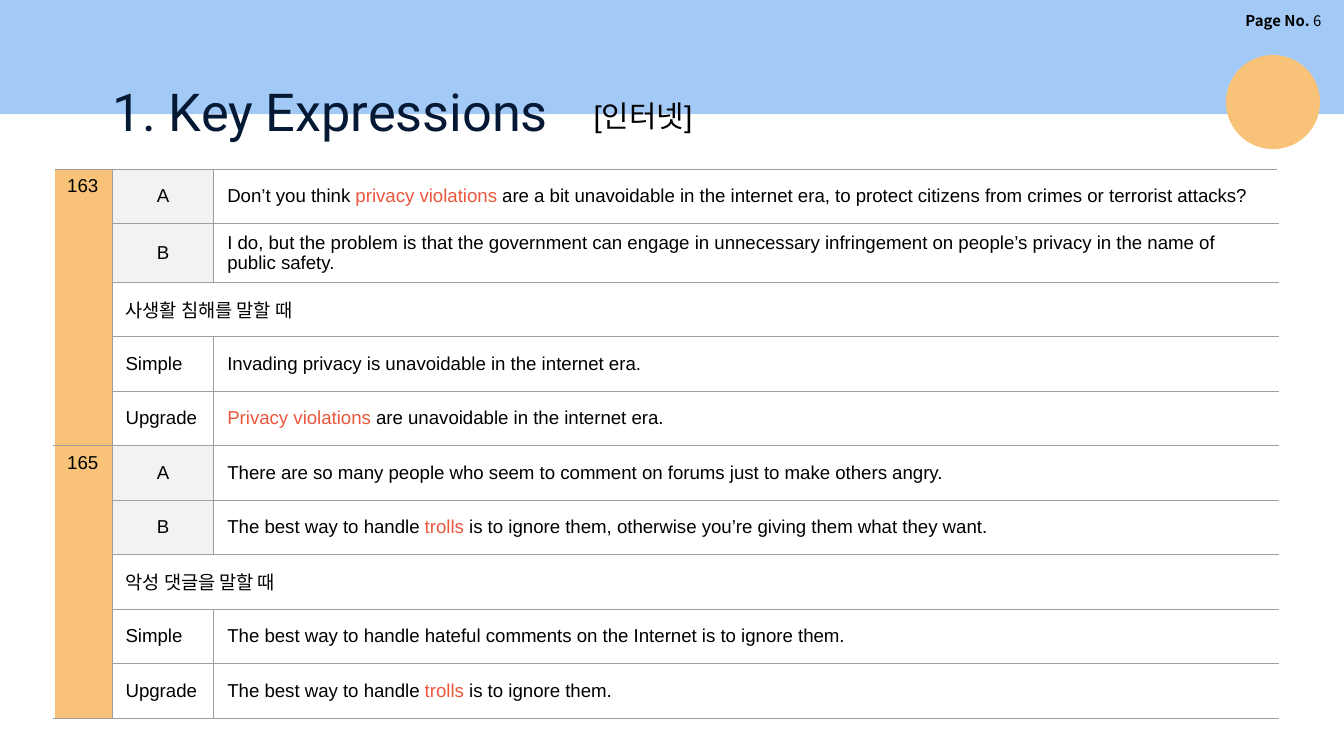
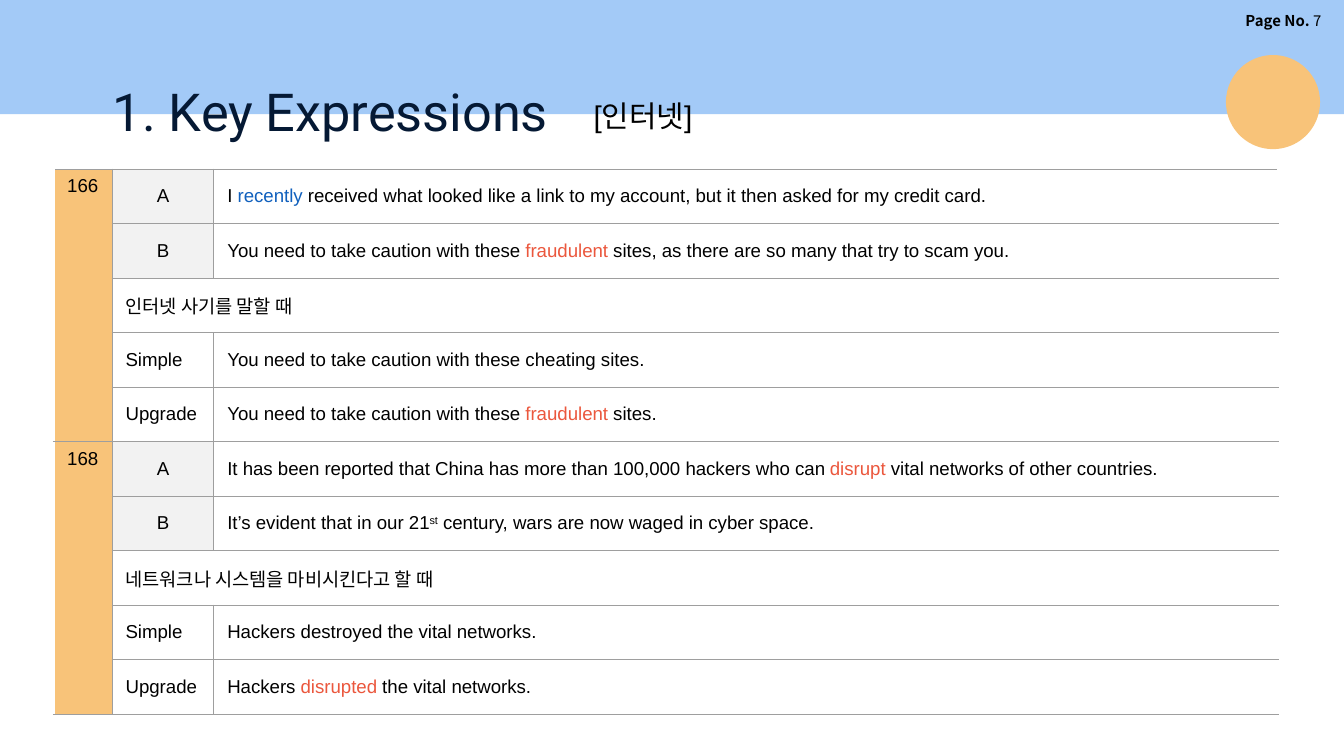
from lxml import etree
from pptx import Presentation
from pptx.dml.color import RGBColor
from pptx.enum import shapes, text
from pptx.oxml.ns import qn
from pptx.util import Pt

COLORS = {
    "band": "A3CAF7", "accent": "F8C379", "title": "051934", "ink": "000000",
    "red": "EB573D", "blue": "1060BD", "label": "F2F2F2", "rule": "9E9E9E",
    "white": "FFFFFF",
}
KOREAN = "Noto Sans CJK KR"
COLUMNS = (31.3, 54.5, 570.2)
ROW_HEIGHT = 29.2
LABELS = ("A", "B", None, "Simple", "Upgrade")

PAGES = [
    (6, 175.7, [
        ("163", "사생활 침해를 말할 때", [
            ["Don’t you think ", ("privacy violations ", "red"),
             "are a bit unavoidable in the internet era, to protect citizens "
             "from crimes or terrorist attacks?"],
            ["I do, but the problem is that the government can engage in unnecessary "
             "infringement on people’s privacy in the name of public safety."],
            ["Invading privacy is unavoidable in the internet era."],
            [("Privacy violations ", "red"), "are unavoidable in the internet era."],
        ]),
        ("165", "악성 댓글을 말할 때", [
            ["There are so many people who seem to comment on forums just to make "
             "others angry."],
            ["The best way to handle ", ("trolls", "red"),
             " is to ignore them, otherwise you’re giving them what they want."],
            ["The best way to handle hateful comments on the Internet is to ignore them."],
            ["The best way to handle ", ("trolls", "red"), " is to ignore them."],
        ]),
    ]),
    (7, 214.6, [
        ("166", "인터넷 사기를 말할 때", [
            ["I ", ("recently", "blue"),
             " received what looked like a link to my account, but it then asked "
             "for my credit card."],
            ["You need to take caution with these ", ("fraudulent", "red"),
             " sites, as there are so many that try to scam you."],
            ["You need to take caution with these cheating sites."],
            ["You need to take caution with these ", ("fraudulent", "red"), " sites."],
        ]),
        ("168", "네트워크나 시스템을 마비시킨다고 할 때", [
            ["It has been reported that China has more than 100,000 hackers who can ",
             ("disrupt", "red"), " vital networks of other countries."],
            ["It’s evident that in our 21", ("st", "super"),
             " century, wars are now waged in cyber space."],
            ["Hackers destroyed the vital networks."],
            ["Hackers ", ("disrupted", "red"), " the vital networks."],
        ]),
    ]),
]


def rgb(name):
    return RGBColor.from_string(COLORS[name])


def write(tf, parts, size=10, font="Arial", color="ink", align=text.PP_ALIGN.LEFT):
    p = tf.paragraphs[0]
    p.alignment = align
    for part in parts:
        words, style = (part, None) if isinstance(part, str) else part
        r = p.add_run()
        r.text = words
        r.font.size = Pt(size)
        r.font.name = font
        r.font.bold = style == "bold"
        r.font.color.rgb = rgb(style if style in COLORS else color)
        props = r._r.get_or_add_rPr()
        etree.SubElement(props, qn("a:ea")).set("typeface", KOREAN)
        if style == "super":
            props.set("baseline", "30000")


class Deck:
    def __init__(self):
        self.prs = Presentation()
        self.prs.slide_width, self.prs.slide_height = Pt(720), Pt(405)
        self.s = None

    def new_slide(self):
        self.s = self.prs.slides.add_slide(self.prs.slide_layouts[5])

    def shape(self, kind, box, color):
        sp = self.s.shapes.add_shape(kind, *map(Pt, box))
        sp.shadow.inherit = False
        sp.fill.solid()
        sp.fill.fore_color.rgb = rgb(color)
        sp.line.fill.background()
        return sp

    def title(self, words, box):
        sp = self.s.shapes.title
        sp.left, sp.top, sp.width, sp.height = map(Pt, box)
        tf = sp.text_frame
        tf.auto_size = text.MSO_AUTO_SIZE.NONE
        tf.vertical_anchor = text.MSO_ANCHOR.TOP
        tf.margin_left = tf.margin_right = tf.margin_top = tf.margin_bottom = Pt(7.2)
        write(tf, [words], size=28, font="Roboto", color="title")
        return sp

    def text_box(self, parts, box, anchor=text.MSO_ANCHOR.TOP, **fmt):
        tf = self.s.shapes.add_textbox(*map(Pt, box)).text_frame
        tf.word_wrap = True
        tf.vertical_anchor = anchor
        write(tf, parts, **fmt)

    def cell(self, cell, parts=(), fill=None, left="rule", right="rule",
             anchor=text.MSO_ANCHOR.MIDDLE, **fmt):
        props = cell._tc.get_or_add_tcPr()
        for side, color in (("L", left), ("R", right), ("T", "rule"), ("B", "rule")):
            width = Pt(1 if color == "white" else 0.75)
            ln = etree.SubElement(props, qn(f"a:ln{side}"), w=str(width))
            solid = etree.SubElement(ln, qn("a:solidFill"))
            etree.SubElement(solid, qn("a:srgbClr"), val=COLORS[color])
        if fill:
            cell.fill.solid()
            cell.fill.fore_color.rgb = rgb(fill)
        else:
            cell.fill.background()
        cell.vertical_anchor = anchor
        write(cell.text_frame, parts, **fmt)

    def expressions(self, entries, left, top):
        count = len(entries) * len(LABELS)
        frame = self.s.shapes.add_table(
            count, len(COLUMNS), Pt(left), Pt(top), Pt(sum(COLUMNS)), Pt(count * ROW_HEIGHT))
        table = frame.table
        table.first_row = table.horz_banding = False
        for column, width in zip(table.columns, COLUMNS):
            column.width = Pt(width)
        for row in table.rows:
            row.height = Pt(ROW_HEIGHT)
        for i, (number, topic, sentences) in enumerate(entries):
            first = i * len(LABELS)
            lines = iter(sentences)
            table.cell(first, 0).merge(table.cell(first + len(LABELS) - 1, 0))
            for row, label in enumerate(LABELS, first):
                self.cell(table.cell(row, 0), [number] if row == first else [],
                          fill="accent", left="white", anchor=text.MSO_ANCHOR.TOP)
                key, sentence = table.cell(row, 1), table.cell(row, 2)
                if label is None:
                    key.merge(sentence)
                    self.cell(key, [topic], right="white")
                    self.cell(sentence, right="white")
                    continue
                speaker = label in ("A", "B")
                self.cell(key, [label], fill="label" if speaker else None,
                          align=text.PP_ALIGN.CENTER if speaker else text.PP_ALIGN.LEFT)
                self.cell(sentence, next(lines), right="white")

    def page(self, number, topic_width, entries):
        self.new_slide()
        band = self.shape(shapes.MSO_SHAPE.RECTANGLE, (0, 0, 720, 61.2), "band")
        title = self.title("1. Key Expressions", (53.3, 35.3, 257.8, 45.4))
        band.element.addnext(title.element)
        self.text_box([("Page No. ", "bold"), str(number)], (610.6, 2.9, 104.4, 16.6),
                      anchor=text.MSO_ANCHOR.MIDDLE, size=8, font=KOREAN,
                      align=text.PP_ALIGN.RIGHT)
        self.expressions(entries, 28.8, 90.7)
        self.text_box(["[인터넷]"], (311, 49, topic_width, 26.6), size=16)
        self.shape(shapes.MSO_SHAPE.OVAL, (656.8, 29.5, 50.4, 50.4), "accent")


def main():
    deck = Deck()
    for page in PAGES:
        deck.page(*page)
    deck.prs.save("out.pptx")


if __name__ == "__main__":
    main()
